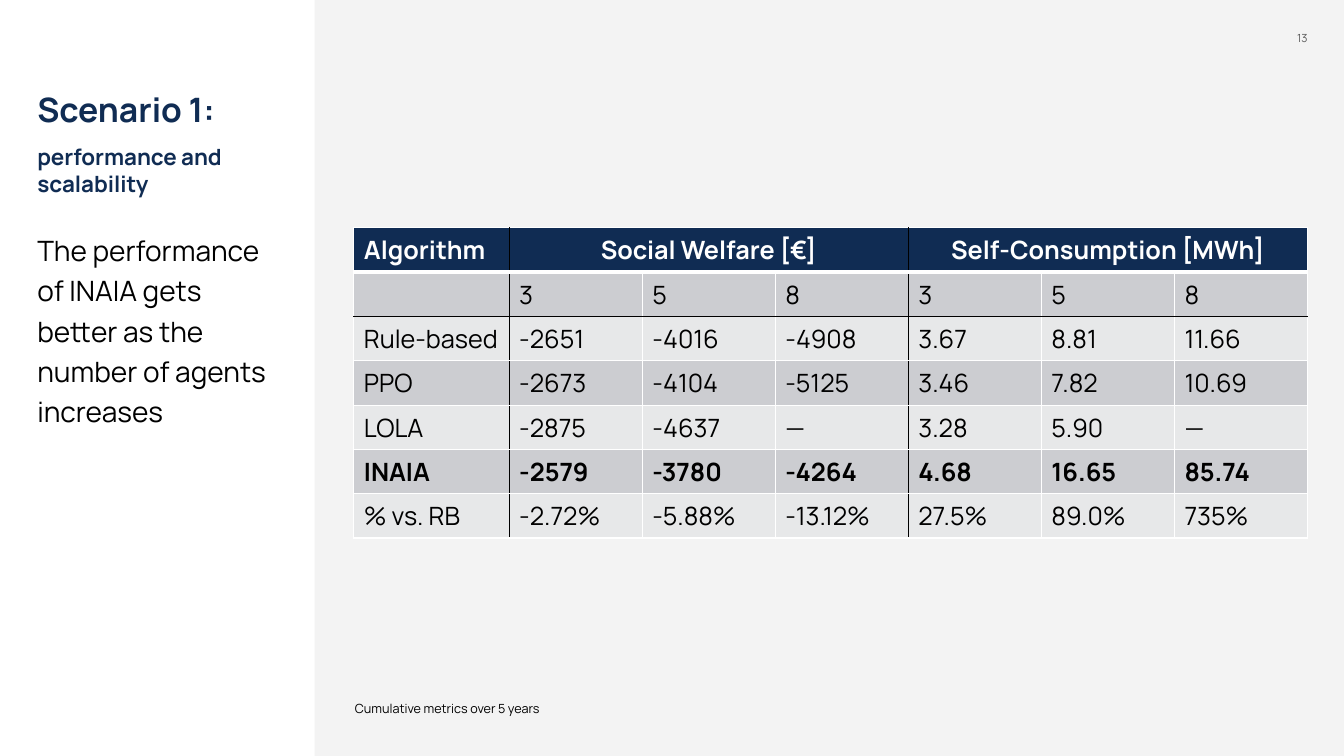
from dataclasses import dataclass

from lxml import etree
from pptx import Presentation
from pptx.dml.color import RGBColor
from pptx.enum.shapes import MSO_SHAPE
from pptx.enum.text import MSO_ANCHOR, PP_ALIGN
from pptx.oxml.ns import qn
from pptx.slide import Slide
from pptx.table import _Cell
from pptx.util import Inches, Pt

RECTANGLE = MSO_SHAPE.RECTANGLE
TOP, BOTTOM = MSO_ANCHOR.TOP, MSO_ANCHOR.BOTTOM
LEFT, CENTER, RIGHT = PP_ALIGN.LEFT, PP_ALIGN.CENTER, PP_ALIGN.RIGHT


@dataclass(frozen=True)
class Theme:
    font: str = "Manrope"
    navy: str = "102C53"
    white: str = "FFFFFF"
    black: str = "000000"
    gray: str = "595959"
    background: str = "F3F3F3"
    band_dark: str = "CCCDD1"
    band_light: str = "E7E8E9"
    title_size: float = 24
    subtitle_size: float = 16
    body_size: float = 20
    table_size: float = 18
    note_size: float = 9
    number_size: float = 8


THEME = Theme()


@dataclass(frozen=True)
class Line:
    text: str
    size: float
    color: str = THEME.black
    bold: bool = False
    align: PP_ALIGN = LEFT
    spacing: float = 1.0
    before: float = 0


@dataclass(frozen=True)
class TextBlock:
    left: float
    top: float
    width: float
    height: float
    lines: tuple[Line, ...]
    anchor: MSO_ANCHOR = TOP


@dataclass(frozen=True)
class Border:
    color: str = THEME.white
    width: float = 1


BLOCKS = (
    TextBlock(0.37, 0.88, 2.37, 0.92, (
        Line("Scenario 1:", THEME.title_size, THEME.navy, True),
        Line("performance and scalability", THEME.subtitle_size, THEME.navy, True, before=10),
    )),
    TextBlock(11.83, 0.04, 1.14, 0.4, (
        Line("13", THEME.number_size, THEME.gray, align=RIGHT),
    ), BOTTOM),
    TextBlock(0.37, 2.25, 2.37, 4.84, (
        Line("The performance of INAIA gets better as the number of agents increases",
             THEME.body_size, spacing=1.2),
    )),
    TextBlock(3.52, 6.79, 5.72, 0.31, (
        Line("Cumulative metrics over 5 years", THEME.note_size, spacing=1.2),
    ), BOTTOM),
)

RESULTS = (
    ("Algorithm", "Social Welfare [€]", "", "", "Self-Consumption [MWh]", "", ""),
    ("", "3", "5", "8", "3", "5", "8"),
    ("Rule-based", "-2651", "-4016", "-4908", "3.67", "8.81", "11.66"),
    ("PPO", "-2673", "-4104", "-5125", "3.46", "7.82", "10.69"),
    ("LOLA", "-2875", "-4637", "—", "3.28", "5.90", "—"),
    ("INAIA", "-2579", "-3780", "-4264", "4.68", "16.65", "85.74"),
    ("% vs. RB", "-2.72%", "-5.88%", "-13.12%", "27.5%", "89.0%", "735%"),
)
GROUP_STARTS = (1, 4)
GROUP_SIZE = 3
BOLD_ROWS = (0, 5)
COLUMN_WIDTHS = (1.54,) + (1.32,) * 6
ROW_HEIGHT = 0.44


def rgb(color: str) -> RGBColor:
    return RGBColor.from_string(color)


def add_text(s: Slide, block: TextBlock) -> None:
    box = s.shapes.add_textbox(Inches(block.left), Inches(block.top),
                               Inches(block.width), Inches(block.height))
    tf = box.text_frame
    tf.word_wrap = True
    tf.vertical_anchor = block.anchor
    tf.margin_left = tf.margin_right = tf.margin_top = tf.margin_bottom = 0
    tf.text = "\n".join(line.text for line in block.lines)
    for p, line in zip(tf.paragraphs, block.lines):
        p.alignment = line.align
        p.line_spacing = line.spacing
        if line.before:
            p.space_before = Pt(line.before)
        for r in p.runs:
            r.font.name = THEME.font
            r.font.size = Pt(line.size)
            r.font.bold = line.bold
            r.font.color.rgb = rgb(line.color)


def column_edge(index: int) -> Border:
    """Border on the vertical grid line left of the given column."""
    return Border(THEME.black) if index in GROUP_STARTS else Border()


def row_edge(index: int) -> Border:
    """Border on the horizontal grid line above the given row."""
    if index == 1:
        return Border(width=3)
    return Border(THEME.black) if index == 2 else Border()


def set_borders(cell: _Cell, row: int, column: int) -> None:
    """Draw the four cell edges; call before the fill, which follows them in XML."""
    edges = {
        "a:lnL": column_edge(column),
        "a:lnR": column_edge(column + (cell.span_width if cell.is_merge_origin else 1)),
        "a:lnT": row_edge(row),
        "a:lnB": row_edge(row + 1),
    }
    tc_pr = cell._tc.get_or_add_tcPr()
    for tag, border in edges.items():
        ln = etree.SubElement(tc_pr, qn(tag), w=str(Pt(border.width)))
        fill = etree.SubElement(ln, qn("a:solidFill"))
        etree.SubElement(fill, qn("a:srgbClr"), val=border.color)


def format_cell(cell: _Cell, row: int, column: int) -> None:
    header = row == 0
    set_borders(cell, row, column)
    cell.fill.solid()
    band = THEME.band_dark if row % 2 else THEME.band_light
    cell.fill.fore_color.rgb = rgb(THEME.navy if header else band)
    p = cell.text_frame.paragraphs[0]
    p.alignment = CENTER if header and column in GROUP_STARTS else LEFT
    p.font.size = Pt(THEME.table_size)
    for r in p.runs:
        r.font.name = THEME.font
        r.font.size = Pt(THEME.table_size)
        r.font.bold = row in BOLD_ROWS
        r.font.color.rgb = rgb(THEME.white if header else THEME.black)


def add_results_table(s: Slide) -> None:
    frame = s.shapes.add_table(len(RESULTS), len(COLUMN_WIDTHS), Inches(3.51), Inches(2.26),
                               Inches(sum(COLUMN_WIDTHS)), Inches(ROW_HEIGHT * len(RESULTS)))
    table = frame.table
    for column, width in zip(table.columns, COLUMN_WIDTHS):
        column.width = Inches(width)
    for start in GROUP_STARTS:
        table.cell(0, start).merge(table.cell(0, start + GROUP_SIZE - 1))
    for i, values in enumerate(RESULTS):
        table.rows[i].height = Inches(ROW_HEIGHT)
        for j, value in enumerate(values):
            cell = table.cell(i, j)
            if value:
                cell.text_frame.text = value
            format_cell(cell, i, j)


def main() -> None:
    prs = Presentation()
    prs.slide_width, prs.slide_height = Inches(13.33), Inches(7.5)
    s = prs.slides.add_slide(prs.slide_layouts[6])
    s.background.fill.solid()
    s.background.fill.fore_color.rgb = rgb(THEME.background)

    sidebar = s.shapes.add_shape(RECTANGLE, 0, 0, Inches(3.12), prs.slide_height)
    sidebar.shadow.inherit = False
    sidebar.fill.solid()
    sidebar.fill.fore_color.rgb = rgb(THEME.white)
    sidebar.line.fill.background()

    for block in BLOCKS:
        add_text(s, block)
    add_results_table(s)
    prs.save("out.pptx")


if __name__ == "__main__":
    main()
